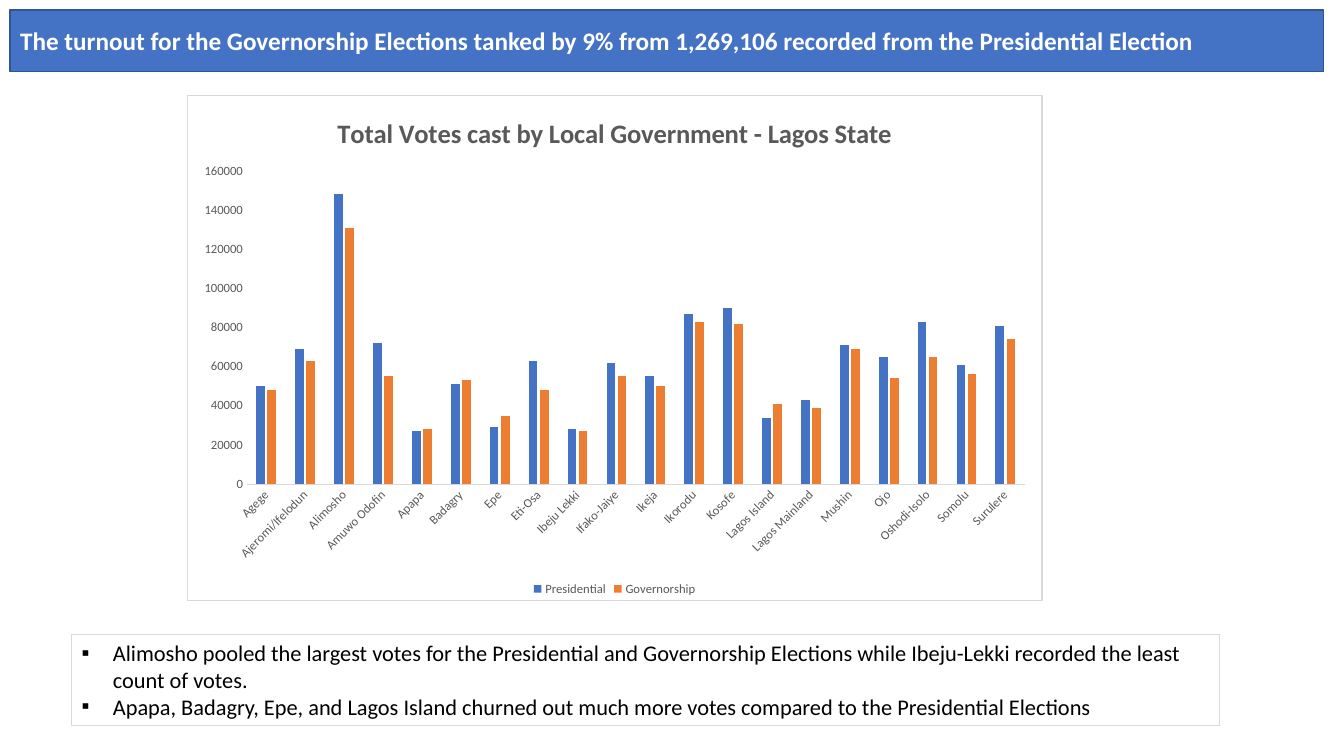
from lxml.etree import SubElement
from pptx import Presentation
from pptx.chart.data import CategoryChartData
from pptx.dml.color import RGBColor
from pptx.enum.chart import XL_CHART_TYPE, XL_LEGEND_POSITION, XL_TICK_MARK
from pptx.enum.text import MSO_ANCHOR, MSO_AUTO_SIZE, PP_ALIGN
from pptx.oxml import parse_xml
from pptx.oxml.ns import nsdecls, qn
from pptx.util import Inches, Pt

FONT = "Calibri"
BLUE, ORANGE, GREY, LIGHT_GREY = "4472C4", "ED7D31", "595959", "D9D9D9"

VOTES = [
    ("Agege", 50000, 48000),
    ("Ajeromi/Ifelodun", 69000, 63000),
    ("Alimosho", 148000, 131000),
    ("Amuwo Odofin", 72000, 55000),
    ("Apapa", 27000, 28000),
    ("Badagry", 51000, 53000),
    ("Epe", 29000, 35000),
    ("Eti-Osa", 63000, 48000),
    ("Ibeju Lekki", 28000, 27000),
    ("Ifako-Jaiye", 62000, 55000),
    ("Ikeja", 55000, 50000),
    ("Ikorodu", 87000, 83000),
    ("Kosofe", 90000, 82000),
    ("Lagos Island", 34000, 41000),
    ("Lagos Mainland", 43000, 39000),
    ("Mushin", 71000, 69000),
    ("Ojo", 65000, 54000),
    ("Oshodi-Isolo", 83000, 65000),
    ("Somolu", 61000, 56000),
    ("Surulere", 81000, 74000),
]
FINDINGS = [
    "Alimosho pooled the largest votes for the Presidential and Governorship "
    "Elections while Ibeju-Lekki recorded the least count of votes.",
    "Apapa, Badagry, Epe, and Lagos Island churned out much more votes "
    "compared to the Presidential Elections",
]


def rgb(value):
    return RGBColor.from_string(value)


def style_font(font, size, color, bold=False):
    font.name = FONT
    font.size = Pt(size)
    font.bold = bold
    font.color.rgb = rgb(color)


presentation = Presentation()
presentation.slide_width = Inches(13.33)
presentation.slide_height = Inches(7.5)
slide = presentation.slides.add_slide(presentation.slide_layouts[1])

# Headline banner
title = slide.shapes.title
title.left, title.top = Inches(0.1), Inches(0.1)
title.width, title.height = Inches(13.03), Inches(0.61)
title.fill.solid()
title.fill.fore_color.rgb = rgb(BLUE)
title.line.color.rgb = rgb("325491")
title.line.width = Pt(1)
title.text_frame.auto_size = MSO_AUTO_SIZE.NONE
title.text_frame.vertical_anchor = MSO_ANCHOR.MIDDLE
paragraph = title.text_frame.paragraphs[0]
paragraph.alignment = PP_ALIGN.LEFT
run = paragraph.add_run()
run.text = ("The turnout for the Governorship Elections tanked by 9% from "
            "1,269,106 recorded from the Presidential Election")
style_font(run.font, 18, "FFFFFF", bold=True)

# Votes by local government
chart_data = CategoryChartData()
areas, presidential, governorship = zip(*VOTES)
chart_data.categories = areas
chart_data.add_series("Presidential", presidential)
chart_data.add_series("Governorship", governorship)
chart = slide.shapes.add_chart(
    XL_CHART_TYPE.COLUMN_CLUSTERED, Inches(1.85), Inches(0.94),
    Inches(8.49), Inches(5.02), chart_data).chart
style_font(chart.font, 10, "000000")

chart.has_title = True
run = chart.chart_title.text_frame.paragraphs[0].add_run()
run.text = "Total Votes cast by Local Government - Lagos State"
style_font(run.font, 19, GREY, bold=True)
chart.chart_title.include_in_layout = False

chart.has_legend = True
chart.legend.position = XL_LEGEND_POSITION.BOTTOM
chart.legend.include_in_layout = False
style_font(chart.legend.font, 9, GREY)

for axis in (chart.category_axis, chart.value_axis):
    axis.major_tick_mark = XL_TICK_MARK.NONE
    axis.minor_tick_mark = XL_TICK_MARK.NONE
    axis.has_major_gridlines = False
    style_font(axis.tick_labels.font, 9, GREY)
chart.category_axis.format.line.color.rgb = rgb(LIGHT_GREY)
chart.category_axis.format.line.width = Pt(0.75)
chart.value_axis.format.line.fill.background()
chart.value_axis.minimum_scale = 0
chart.value_axis.maximum_scale = 160000
chart.value_axis.major_unit = 20000

plot = chart.plots[0]
plot.gap_width = 219
plot.overlap = -27
plot.vary_by_categories = False
for series, color in zip(plot.series, (BLUE, ORANGE)):
    series.format.fill.solid()
    series.format.fill.fore_color.rgb = rgb(color)

# Plot area placement, as fractions of the chart
plot_area = chart.element.find(qn("c:chart")).find(qn("c:plotArea"))
for layout in plot_area.findall(qn("c:layout")):
    plot_area.remove(layout)
plot_area.insert(0, parse_xml(
    f'<c:layout {nsdecls("c")}><c:manualLayout><c:layoutTarget val="inner"/>'
    '<c:xMode val="edge"/><c:yMode val="edge"/>'
    '<c:x val="0.07"/><c:y val="0.15"/><c:w val="0.91"/><c:h val="0.62"/>'
    '</c:manualLayout></c:layout>'))

chart_border = parse_xml(
    f'<c:spPr {nsdecls("c", "a")}>'
    '<a:solidFill><a:srgbClr val="FFFFFF"/></a:solidFill>'
    f'<a:ln w="{Pt(0.75)}"><a:solidFill><a:srgbClr val="{LIGHT_GREY}"/></a:solidFill></a:ln>'
    '</c:spPr>')
chart.element.find(qn("c:chart")).addnext(chart_border)

# Findings
body = slide.placeholders[1]
body.left, body.top = Inches(0.71), Inches(6.29)
body.width, body.height = Inches(11.39), Inches(0.91)
body.line.color.rgb = rgb(LIGHT_GREY)
body.line.width = Pt(0.75)
frame = body.text_frame
frame.auto_size = MSO_AUTO_SIZE.NONE
frame.vertical_anchor = MSO_ANCHOR.TOP
for index, finding in enumerate(FINDINGS):
    paragraph = frame.add_paragraph() if index else frame.paragraphs[0]
    paragraph.space_before = Pt(0)
    properties = paragraph._p.get_or_add_pPr()
    properties.set("marL", str(Inches(0.31)))
    properties.set("indent", str(-Inches(0.31)))
    SubElement(properties, qn("a:buChar")).set("char", "▪")
    run = paragraph.add_run()
    run.text = finding
    style_font(run.font, 16, "000000")

presentation.save("out.pptx")
